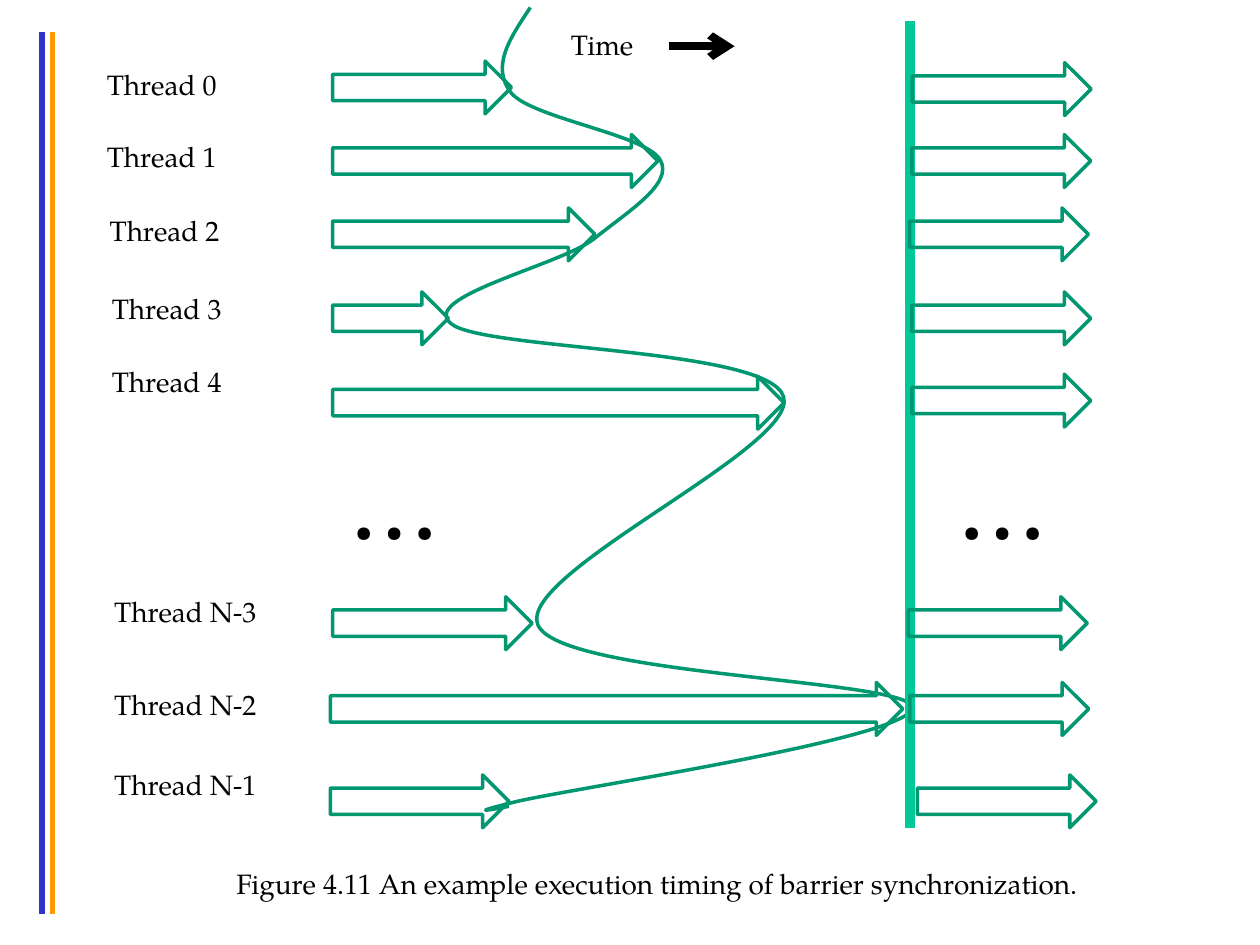
from dataclasses import dataclass
from lxml.etree import SubElement
from pptx import Presentation
from pptx.dml.color import RGBColor
from pptx.enum.shapes import MSO_CONNECTOR, MSO_SHAPE
from pptx.enum.text import MSO_AUTO_SIZE
from pptx.oxml.ns import qn
from pptx.util import Pt


@dataclass(frozen=True)
class Theme:
    font: str = "TeX Gyre Pagella"
    body_size: float = 16
    dots_size: float = 60
    text: str = "000000"
    outline: str = "009771"
    barrier: str = "00C896"
    blue: str = "3333CC"
    orange: str = "FF9900"


THEME = Theme()
ARROW_HEIGHT = 30.2
RESUME_WIDTH = 102.2
LABEL_HEIGHT = 28.8

THREADS = [
    {"label": ("Thread 0", 54, 35.3, 79.9), "work": (190.1, 34.9, 102.2), "resume": (521.3, 35.8)},
    {"label": ("Thread 1", 54, 76.3, 79.9), "work": (190.1, 76.9, 185.9), "resume": (521.1, 76.9)},
    {"label": ("Thread 2", 55.6, 118.5, 79.9), "work": (190.1, 118.8, 149.9), "resume": (519.8, 118.8)},
    {"label": ("Thread 3", 56.8, 162.9, 79.9), "work": (190.1, 166.8, 66.1), "resume": (521.1, 166.8)},
    {"label": ("Thread 4", 56.8, 204.9, 79.9), "work": (190.1, 215, 258), "resume": (521.1, 213.8)},
    {"label": ("Thread N-3", 58.2, 336.2, 97.2), "work": (190.1, 341, 114), "resume": (519.1, 341)},
    {"label": ("Thread N-2", 58.2, 389.4, 97.2), "work": (188.8, 390, 327.1), "resume": (519.9, 390)},
    {"label": ("Thread N-1", 58.2, 434.9, 97.2), "work": (188.8, 442.8, 102.1), "resume": (524.2, 442.8)},
]
TEXTS = [
    ("Figure 4.11 An example execution timing of barrier synchronization.",
     128, 491.8, 509, LABEL_HEIGHT, THEME.body_size),
    ("Time ", 319.2, 12.2, 55.4, LABEL_HEIGHT, THEME.body_size),
    ("…", 192.5, 245.1, 56.2, 79.9, THEME.dots_size),
    ("…", 540, 245.1, 56.2, 79.9, THEME.dots_size),
]
MARGIN_LINES = [
    (24, 18, 24, 522, THEME.blue, 3),
    (30, 18, 30, 522, THEME.orange, 3),
]
BARRIER = (520, 12.2, 520, 473, THEME.barrier, 6)
TIME_ARROW = (382.3, 26.4, 419.8, 26.4, THEME.text, 4.5)
CURVE_BOX = (254.9, 4.3, 266.4, 458.6)
CURVE_START = (303.1, 4.3)
CURVE_SEGMENTS = [
    ((291.6, 21.6), (280.1, 38.2), (292.3, 53.3)),
    ((304.6, 67.7), (369.4, 77), (377.3, 91.4)),
    ((385.2, 105.1), (358.6, 121), (339.1, 136.8)),
    ((319, 151.9), (239, 169.9), (257.8, 185)),
    ((275.8, 200.2), (439.9, 198.7), (447.8, 226.8)),
    ((456.5, 255.6), (295.2, 327.6), (307.4, 357.1)),
    ((319.7, 386.6), (522.7, 388.1), (521.3, 404.6)),
    ((519.1, 421.9), (334.1, 449.3), (295.9, 457.9)),
    ((257.8, 467.3), (290.9, 460.8), (290.9, 460.8)),
]


def style_outline(shape):
    shape.shadow.inherit = False
    shape.fill.background()
    shape.line.color.rgb = RGBColor.from_string(THEME.outline)
    shape.line.width = Pt(2)


def add_line(slide, left, top, right, bottom, color, width, arrow=False):
    line = slide.shapes.add_connector(
        MSO_CONNECTOR.STRAIGHT, Pt(left), Pt(top), Pt(right), Pt(bottom))
    line.line.color.rgb = RGBColor.from_string(color)
    line.line.width = Pt(width)
    properties = line._element.spPr
    if arrow:
        SubElement(properties.get_or_add_ln(), qn("a:tailEnd"), type="arrow")
    SubElement(properties, qn("a:effectLst"))


def add_block_arrow(slide, left, top, width):
    style_outline(slide.shapes.add_shape(
        MSO_SHAPE.RIGHT_ARROW, Pt(left), Pt(top), Pt(width), Pt(ARROW_HEIGHT)))


def add_text(slide, text, left, top, width, height, size):
    frame = slide.shapes.add_textbox(Pt(left), Pt(top), Pt(width), Pt(height)).text_frame
    frame.word_wrap = False
    frame.auto_size = MSO_AUTO_SIZE.SHAPE_TO_FIT_TEXT
    run = frame.paragraphs[0].add_run()
    run.text = text
    run.font.name = THEME.font
    run.font.size = Pt(size)
    run.font.color.rgb = RGBColor.from_string(THEME.text)


def add_arrival_curve(slide):
    left, top, width, height = CURVE_BOX
    builder = slide.shapes.build_freeform(Pt(CURVE_START[0]), Pt(CURVE_START[1]))
    builder.add_line_segments(
        [(Pt(x), Pt(y)) for _, _, (x, y) in CURVE_SEGMENTS], close=False)
    curve = builder.convert_to_shape()
    curve.left, curve.top, curve.width, curve.height = map(Pt, CURVE_BOX)
    style_outline(curve)
    outline = next(curve._element.iter(qn("a:path")))
    outline.set("w", str(Pt(width)))
    outline.set("h", str(Pt(height)))
    for command in list(outline):
        outline.remove(command)
    commands = [("a:moveTo", (CURVE_START,))]
    commands += [("a:cubicBezTo", segment) for segment in CURVE_SEGMENTS]
    for tag, points in commands:
        command = SubElement(outline, qn(tag))
        for x, y in points:
            SubElement(command, qn("a:pt"), x=str(Pt(x - left)), y=str(Pt(y - top)))


presentation = Presentation()
presentation.slide_width, presentation.slide_height = Pt(720), Pt(540)
slide = presentation.slides.add_slide(presentation.slide_layouts[6])

for margin_line in MARGIN_LINES:
    add_line(slide, *margin_line)
for thread in THREADS:
    add_block_arrow(slide, *thread["work"])
add_arrival_curve(slide)
add_line(slide, *BARRIER)
for thread in THREADS:
    add_block_arrow(slide, *thread["resume"], RESUME_WIDTH)
    add_text(slide, *thread["label"], LABEL_HEIGHT, THEME.body_size)
for text in TEXTS:
    add_text(slide, *text)
add_line(slide, *TIME_ARROW, arrow=True)

presentation.save("out.pptx")
